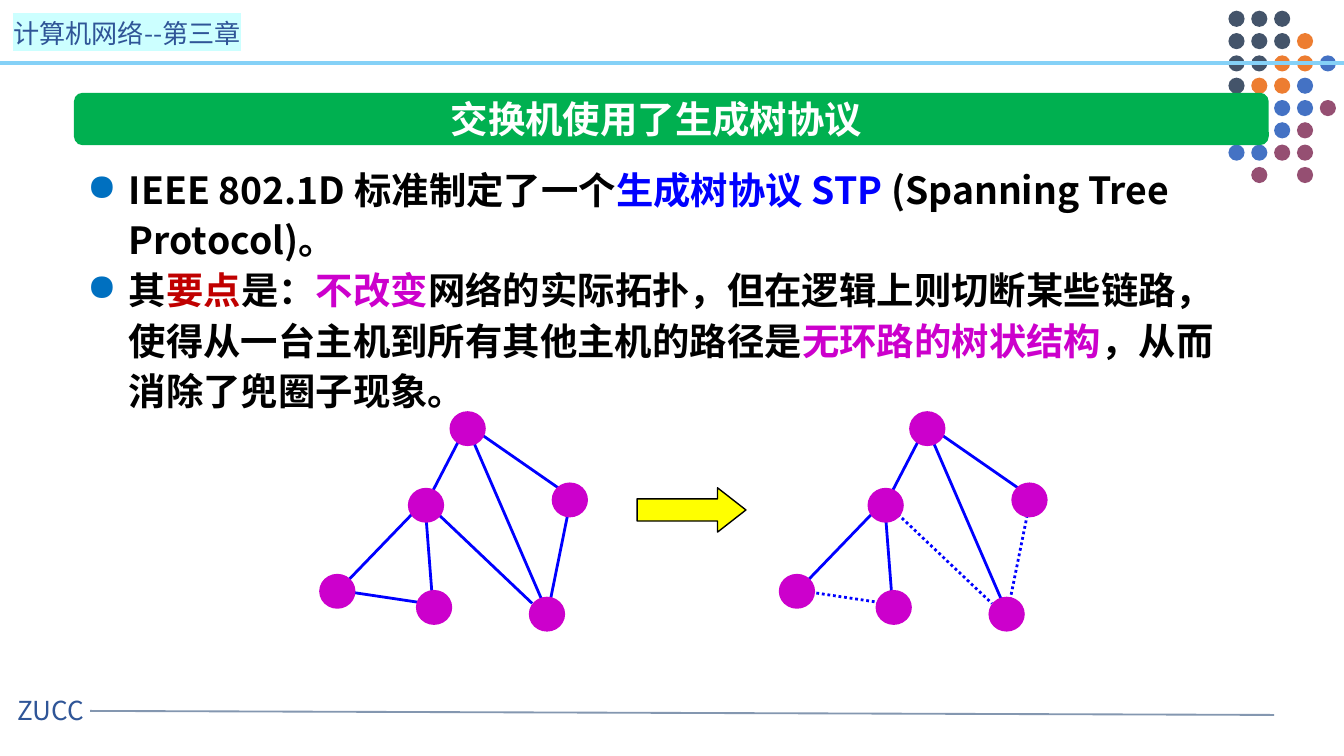
from pptx import Presentation
from pptx.dml.color import RGBColor
from pptx.enum.dml import MSO_LINE
from pptx.enum.shapes import MSO_CONNECTOR, MSO_SHAPE
from pptx.enum.text import PP_ALIGN
from pptx.oxml.ns import qn
from pptx.util import Inches, Pt
from lxml import etree

STRAIGHT = MSO_CONNECTOR.STRAIGHT
OVAL = MSO_SHAPE.OVAL
ROUNDED = MSO_SHAPE.ROUNDED_RECTANGLE
ARROW = MSO_SHAPE.RIGHT_ARROW
DOTTED = MSO_LINE.ROUND_DOT
CENTER = PP_ALIGN.CENTER

FONT = "Noto Sans CJK SC"
COLS, ROWS = 100, 56.25
CELL = Inches(10) / COLS
COLORS = {
    "navy": "2F5597", "highlight": "CCFFFF", "rule": "85D1F7", "foot": "8497B0",
    "black": "000000", "white": "FFFFFF", "blue": "0000FF", "red": "C00000",
    "magenta": "CC00CC", "bullet": "0070C0", "green": "00B050", "yellow": "FFFF00",
    "S": "44546A", "O": "ED7D31", "B": "4472C4", "P": "954F72",
}
DOT_ROWS = ["SSS", "SSSO", "SSOOB", "SOOB", " OBBP", " BBP", "BBPP", " P P"]
NODES = [(34.8, 31.9), (42.4, 37.2), (40.7, 45.7), (25.1, 44), (32.3, 45.2), (31.7, 37.6)]
EDGES = [
    (34.6, 31.9, 31.7, 37.5), (35.2, 31.9, 42.4, 36.9), (31.7, 37.4, 39.6, 44.9),
    (42.4, 37.5, 40.8, 45.4), (35.2, 32.8, 40.3, 44.6), (25.7, 43.4, 31, 37.9),
    (32.2, 44.9, 31.6, 37.2), (31.7, 44.9, 25.7, 44),
]
CUT_EDGES = {2, 3, 7}
BODY = [
    [("IEEE 802.1D 标准制定了一个", "black"), ("生成树协议 STP ", "blue"),
     ("(Spanning Tree Protocol)。", "black")],
    [("其", "black"), ("要点", "red"), ("是：", "black"), ("不改变", "magenta"),
     ("网络的实际拓扑，但在逻辑上则切断某些链路，使得从一台主机到所有其他主机的路径是", "black"),
     ("无环路的树状结构", "magenta"), ("，从而消除了兜圈子现象。", "black")],
]


def cells(*values):
    """Convert grid cells to slide lengths."""
    return [round(v * CELL) for v in values]


def rgb(name):
    """Look up a colour by name."""
    return RGBColor.from_string(COLORS[name])


def add_line(shapes, ends, color, width, dash=None):
    """Draw a straight line between two grid points."""
    c = shapes.add_connector(STRAIGHT, *cells(*ends))
    c.line.color.rgb = rgb(color)
    c.line.width = Pt(width)
    if dash is not None:
        c.line.dash_style = dash
    etree.SubElement(c._element.spPr, qn("a:effectLst"))


def add_shape(shapes, kind, box, fill, outline=None):
    """Draw a filled preset shape."""
    sp = shapes.add_shape(kind, *cells(*box))
    sp.shadow.inherit = False
    sp.fill.solid()
    sp.fill.fore_color.rgb = rgb(fill)
    if outline:
        sp.line.color.rgb = rgb(outline)
        sp.line.width = Pt(0.75)
    else:
        sp.line.fill.background()
    return sp


def format_run(r, size, color, bold=False, highlight=None):
    """Set the font, colour and highlight of a run."""
    r.font.size = Pt(size)
    r.font.bold = bold
    r.font.color.rgb = rgb(color)
    rPr = r._r.get_or_add_rPr()
    if highlight:
        mark = etree.SubElement(rPr, qn("a:highlight"))
        etree.SubElement(mark, qn("a:srgbClr"), val=COLORS[highlight])
    r.font.name = FONT
    etree.SubElement(rPr, qn("a:ea"), typeface=FONT)


def add_label(shapes, box, text, size, color, bold=False, highlight=None, align=None):
    """Add a text box of a single line."""
    tf = shapes.add_textbox(*cells(*box)).text_frame
    tf.word_wrap = False
    tf.text = text
    p = tf.paragraphs[0]
    p.alignment = align
    format_run(p.runs[0], size, color, bold, highlight)


def add_bullet(p):
    """Give a paragraph a hanging round bullet."""
    indent = round(Inches(0.31))
    pPr = p._p.get_or_add_pPr()
    pPr.set("marL", str(indent))
    pPr.set("indent", str(-indent))
    color = etree.SubElement(pPr, qn("a:buClr"))
    etree.SubElement(color, qn("a:srgbClr"), val=COLORS["bullet"])
    etree.SubElement(pPr, qn("a:buChar"), char="●")


def add_body(shapes, box, paragraphs):
    """Add the bulleted text with coloured phrases."""
    tf = shapes.add_textbox(*cells(*box)).text_frame
    tf.word_wrap = True
    for i, phrases in enumerate(paragraphs):
        p = tf.add_paragraph() if i else tf.paragraphs[0]
        add_bullet(p)
        p.line_spacing = Pt(27)
        for text, color in phrases:
            r = p.add_run()
            r.text = text
            format_run(r, 20, color, bold=True)


def add_dots(shapes):
    """Draw the corner pattern of coloured dots."""
    group = shapes.add_group_shape().shapes
    for row, codes in enumerate(DOT_ROWS):
        for col, code in enumerate(codes):
            if code != " ":
                box = (91.4 + 1.7 * col, 0.8 + 1.66 * row, 1.2, 1.2)
                add_shape(group, OVAL, box, code)


def add_graph(shapes, shift, cut=()):
    """Draw the network with its cut links dotted."""
    group = shapes.add_group_shape().shapes
    for i, (x1, y1, x2, y2) in enumerate(EDGES):
        dash = DOTTED if i in cut else None
        add_line(group, (x1 + shift, y1, x2 + shift, y2), "blue", 1.5, dash)
    w, h = 2.7, 2.6
    for x, y in NODES:
        add_shape(group, OVAL, (x + shift - w / 2, y - h / 2, w, h), "magenta")


def main():
    """Build the slide and save it."""
    prs = Presentation()
    prs.slide_width, prs.slide_height = cells(COLS, ROWS)
    s = prs.slides.add_slide(prs.slide_layouts[6]).shapes
    add_line(s, (6.7, 52.9, 94.8, 53.2), "foot", 1)
    add_label(s, (0.3, 51.2, 8.9, 3.4), "ZUCC", 14, "navy")
    add_label(s, (0, 0.8, 21.6, 3.4), "计算机网络--第三章", 14, "navy", highlight="highlight")
    add_dots(s)
    add_line(s, (0, 4.7, COLS, 4.7), "rule", 2)
    add_body(s, (5.5, 11.5, 88.5, 19.9), BODY)
    add_shape(s, ROUNDED, (5.5, 6.9, 88.9, 3.9), "green")
    add_label(s, (32.4, 6.7, 32.9, 4.4), "交换机使用了生成树协议", 20, "white", True, align=CENTER)
    arrow = add_shape(s, ARROW, (47.4, 36.3, 8.1, 3.3), "yellow", "black")
    arrow.adjustments[1] = 0.64
    add_graph(s, 0)
    add_graph(s, 34.2, CUT_EDGES)
    prs.save("out.pptx")


if __name__ == "__main__":
    main()
